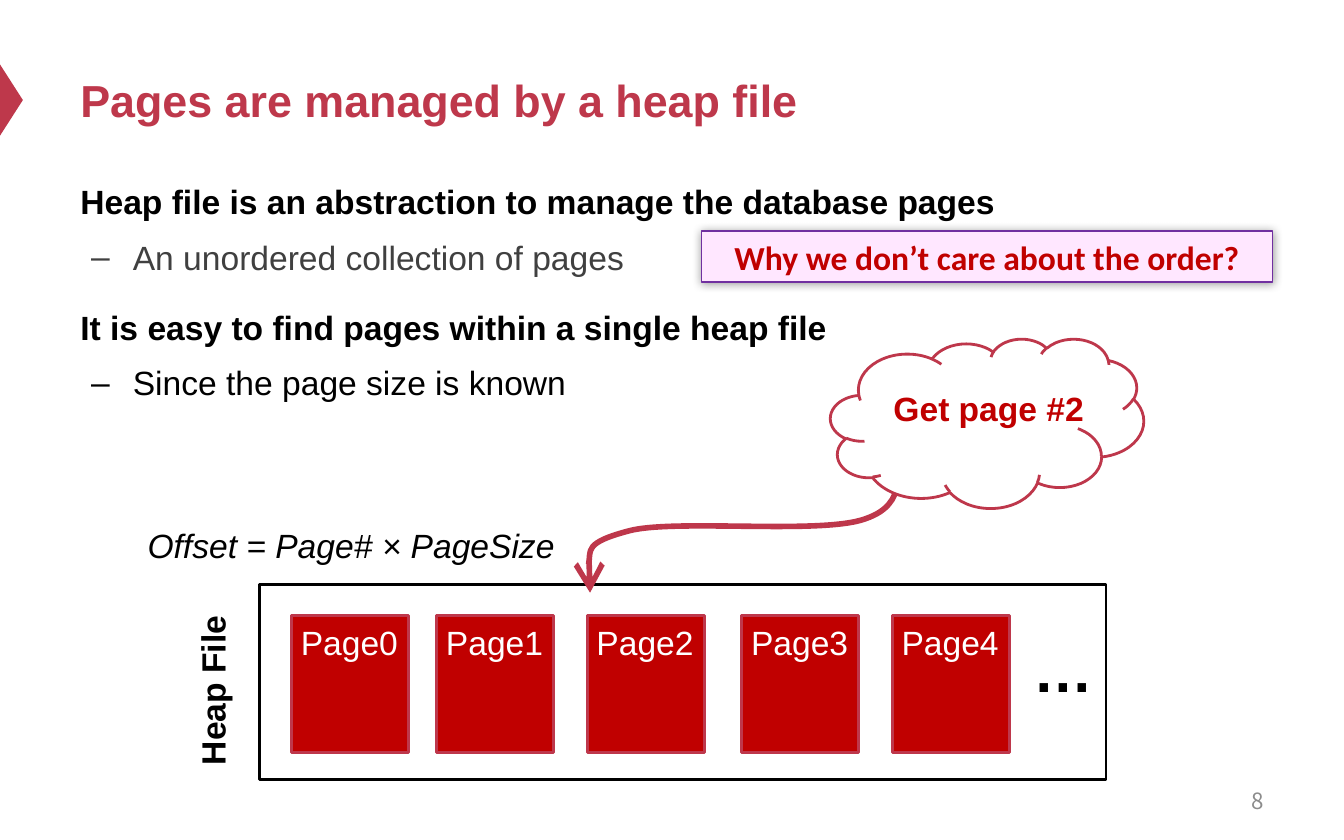
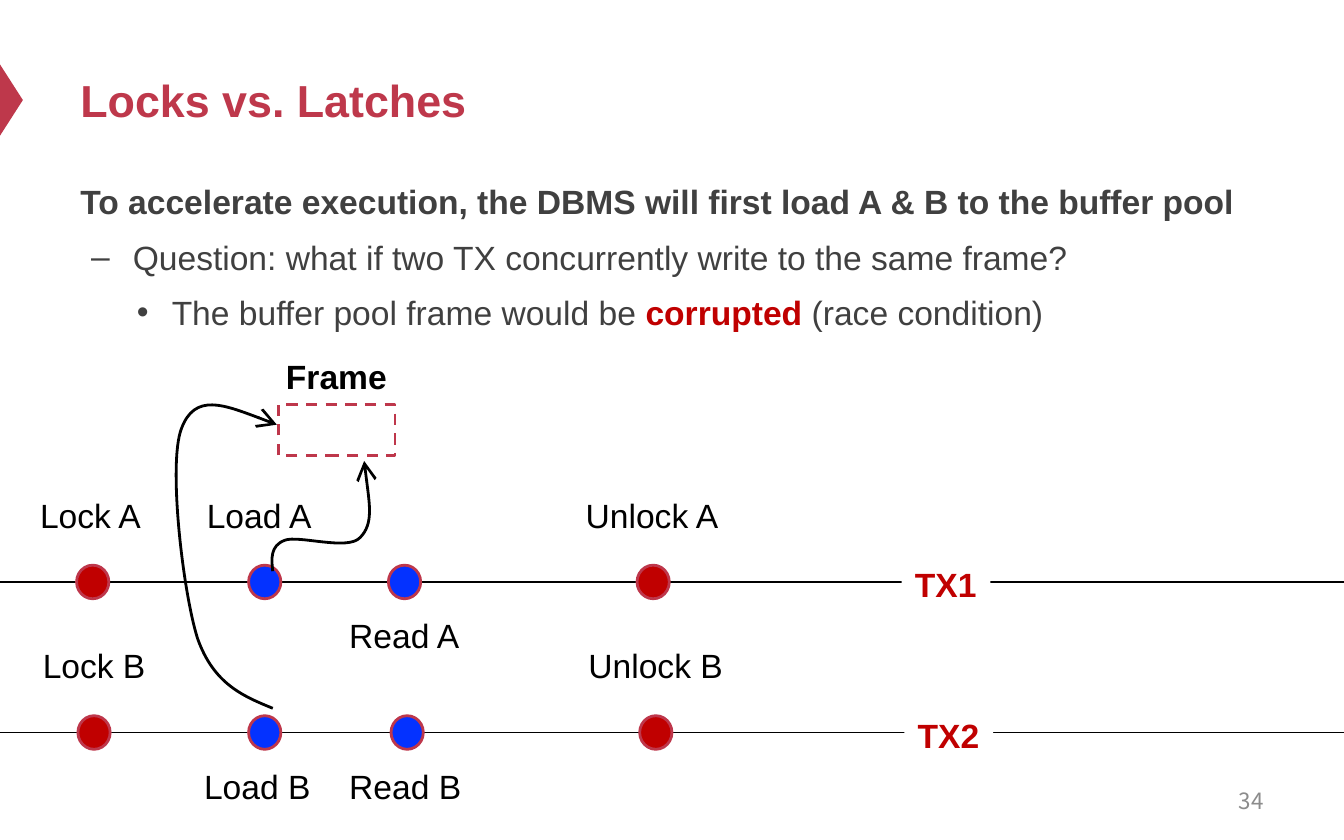
"""Build two database lecture slides: heap files, and locks versus latches."""
import lxml.etree
import pptx
import pptx.dml.color
import pptx.enum.dml
import pptx.enum.shapes
import pptx.enum.text
import pptx.oxml
import pptx.oxml.ns
import pptx.util

COLUMNS, ROWS = 10, 6.25
COLORS = {
    "brand": "BE384B", "edge": "BE374B", "red": "C00000", "blue": "0432FF",
    "black": "000000", "gray": "404040", "pale": "8C8C8C", "white": "FFFFFF",
    "pink": "FFE7FF", "purple": "7030A0",
}
FORMATS = {
    "title": {"size": 24, "bold": True, "color": "brand"},
    "number": {"size": 12, "name": "Noto Sans CJK SC", "color": "pale"},
    "head": {"bold": True, "color": "black"},
    "gray head": {"bold": True, "color": "gray"},
    "label": {"color": "black"},
    "gray": {"color": "gray"},
    "accent": {"bold": True, "color": "red"},
    "formula": {"italic": True, "color": "black"},
    "page": {"color": "white"},
    "dots": {"size": 32, "bold": True, "color": "black"},
    "callout": {"name": "Calibri", "bold": True, "color": "red"},
}
LEVELS = [
    {"space": 12},
    {"space": 3.6, "bullet": "–", "margin": 0.39, "indent": -0.31},
    {"space": 3.6, "bullet": "•", "margin": 0.68, "indent": -0.26},
]

HEAP = {
    "title": "Pages are managed by a heap file", "number": "8",
    "body": [
        (0, [("Heap file is an abstraction to manage the database pages", "head")]),
        (1, [("An unordered collection of pages", "gray")]),
        (0, [("It is easy to find pages within a single heap file", "head")]),
        (1, [("Since the page size is known", "label")]),
    ],
}
PAGES = {"Page0": 2.17, "Page1": 3.25, "Page2": 4.37, "Page3": 5.52, "Page4": 6.64}
PAGE_TOP, PAGE_WIDTH, PAGE_HEIGHT = 4.58, 0.87, 1.02
LOOKUP = [(6.61, 3.24), (6.69, 3.49), (6.76, 3.75), (6.44, 3.86), (6.12, 3.98),
          (5.02, 3.86), (4.68, 3.95), (4.34, 4.04), (4.36, 4.22), (4.39, 4.41)]

LOCKS = {
    "title": "Locks vs. Latches", "number": "34",
    "body": [
        (0, [("To accelerate execution, the DBMS will first load A & B to the buffer pool",
              "gray head")]),
        (1, [("Question: what if two TX concurrently write to the same frame?", "gray")]),
        (2, [("The buffer pool frame would be ", "gray"), ("corrupted", "accent"),
             (" (race condition)", "gray")]),
    ],
}
ABOVE, BELOW = -0.7, 0.2
TRANSACTIONS = [
    ("TX1", 4.33, 6.71, [
        ("Lock A", "red", 0.57, 0.2, 0.96, ABOVE), ("Load A", "blue", 1.85, 1.44, 0.99, ABOVE),
        ("Read A", "blue", 2.89, 2.5, 1.03, BELOW), ("Unlock A", "red", 4.74, 4.26, 1.2, ABOVE)]),
    ("TX2", 5.45, 6.73, [
        ("Lock B", "red", 0.58, 0.22, 0.97, ABOVE), ("Load B", "blue", 1.85, 1.42, 1, BELOW),
        ("Read B", "blue", 2.91, 2.5, 1.04, BELOW), ("Unlock B", "red", 4.76, 4.28, 1.21, ABOVE)]),
]
DOT_WIDTH, DOT_HEIGHT = 0.24, 0.25
LABEL_HEIGHT = 0.4
LOADS = [
    [(2.03, 4.25), (2.02, 4.16), (2.01, 4.06), (2.12, 4.02), (2.22, 3.98),
     (2.59, 4.1), (2.68, 4), (2.78, 3.9), (2.74, 3.67), (2.71, 3.43)],
    [(2.03, 5.27), (1.81, 5.18), (1.59, 5.09), (1.47, 4.75), (1.36, 4.4),
     (1.25, 3.45), (1.35, 3.19), (1.45, 2.92), (1.75, 3.04), (2.06, 3.16)],
]

SHAPES = pptx.enum.shapes.MSO_SHAPE
ALIGN = pptx.enum.text.PP_ALIGN
MIDDLE = pptx.enum.text.MSO_ANCHOR.MIDDLE
inches = pptx.util.Inches


def color(name):
    return pptx.dml.color.RGBColor.from_string(COLORS[name])


def child(parent, tag, **attributes):
    return lxml.etree.SubElement(parent, pptx.oxml.ns.qn(tag), attributes)


def paint(shape, fill=None, line=None, width=1.5):
    if fill:
        shape.fill.solid()
        shape.fill.fore_color.rgb = color(fill)
    else:
        shape.fill.background()
    if line:
        shape.line.color.rgb = color(line)
        shape.line.width = pptx.util.Pt(width)
    else:
        shape.line.fill.background()


def draw(slide, kind, place, **look):
    shape = slide.shapes.add_shape(kind, *map(inches, place))
    shape.shadow.inherit = False
    paint(shape, **look)
    return shape


def write(paragraph, runs):
    for words, style in runs:
        run = paragraph.add_run()
        run.text = words
        values = {"size": 18, "name": "Arial", **FORMATS[style]}
        run.font.color.rgb = color(values.pop("color"))
        values["size"] = pptx.util.Pt(values["size"])
        for key, value in values.items():
            setattr(run.font, key, value)


def label(slide, words, style, place, wrap=False, align=ALIGN.LEFT, anchor=None):
    box = slide.shapes.add_textbox(*map(inches, place))
    frame = box.text_frame
    frame.word_wrap = wrap
    if anchor is not None:
        frame.vertical_anchor = anchor
    frame.paragraphs[0].alignment = align
    write(frame.paragraphs[0], [(words, style)])
    return box


def outline(slide, paragraphs):
    frame = slide.shapes.add_textbox(*map(inches, (0.5, 1.24, 9, 2.49))).text_frame
    frame.word_wrap = True
    for index, (depth, runs) in enumerate(paragraphs):
        paragraph = frame.add_paragraph() if index else frame.paragraphs[0]
        level = LEVELS[depth]
        paragraph.level = depth
        if "bullet" in level:
            properties = paragraph._p.get_or_add_pPr()
            properties.set("marL", str(inches(level["margin"])))
            properties.set("indent", str(inches(level["indent"])))
            child(properties, "a:buFont", typeface="Arial")
            child(properties, "a:buChar", char=level["bullet"])
        paragraph.line_spacing = 1.2
        if index:
            paragraph.space_before = pptx.util.Pt(level["space"])
        write(paragraph, runs)


def curve(slide, points, line, width):
    start, *bends = [(round(x * 100), round(y * 100)) for x, y in points]
    builder = slide.shapes.build_freeform(*start, scale=inches(0.01))
    builder.add_line_segments(bends, close=False)
    shape = builder.convert_to_shape()
    shape.shadow.inherit = False
    paint(shape, line=line, width=width)
    route = shape._element.find(".//" + pptx.oxml.ns.qn("a:path"))
    segments = list(route)[1:]
    for first in range(0, len(segments), 3):
        bend = child(route, "a:cubicBezTo")
        for segment in segments[first:first + 3]:
            bend.append(segment[0])
            route.remove(segment)
    child(shape.line._get_or_add_ln(), "a:tailEnd", type="arrow", w="lg", len="lg")


def start_slide(deck, content):
    slide = deck.slides.add_slide(deck.slide_layouts[6])
    marker = draw(slide, SHAPES.ISOSCELES_TRIANGLE, (-0.18, 0.66, 0.53, 0.17), fill="brand")
    marker.rotation = 90
    label(slide, content["title"], "title", (0.5, 0.25, 9, 0.98), wrap=True, anchor=MIDDLE)
    outline(slide, content["body"])
    label(slide, content["number"], "number", (7.17, 5.79, 2.33, 0.33),
          wrap=True, align=ALIGN.RIGHT, anchor=MIDDLE)
    return slide


def heap_slide(deck):
    slide = start_slide(deck, HEAP)
    draw(slide, SHAPES.RECTANGLE, (1.93, 4.35, 6.3, 1.45), line="black")
    label(slide, "Heap File", "head", (0.92, 4.93, 1.32, LABEL_HEIGHT)).rotation = 270
    for page, left in PAGES.items():
        draw(slide, SHAPES.RECTANGLE, (left, PAGE_TOP, PAGE_WIDTH, PAGE_HEIGHT),
             fill="red", line="edge")
        label(slide, page, "page", (left - 0.03, PAGE_TOP, PAGE_WIDTH + 0.06, LABEL_HEIGHT))
    label(slide, "…", "dots", (7.59, 4.66, 0.65, 0.64))
    curve(slide, LOOKUP, "edge", 3)
    label(slide, "Offset = Page# × PageSize", "formula", (1, 3.86, 3.37, LABEL_HEIGHT))
    draw(slide, SHAPES.CLOUD, (6.18, 2.52, 2.33, 1.26), fill="white", line="edge")
    label(slide, "Get page #2", "accent", (6.55, 2.84, 1.63, LABEL_HEIGHT))
    question = label(slide, "Why we don’t care about the order?", "callout",
                     (5.22, 1.72, 4.25, 0.38), wrap=True, align=ALIGN.CENTER)
    paint(question, fill="pink", line="purple", width=0.75)
    margins = {"margin_left": 0.12, "margin_right": 0.12, "margin_top": 0.04, "margin_bottom": 0.04}
    for side, margin in margins.items():
        setattr(question.text_frame, side, inches(margin))
    effects = child(question._element.spPr, "a:effectLst")
    glow = child(effects, "a:outerShdw", blurRad=str(pptx.util.Pt(5)), dist="0", dir="0",
                 algn="ctr", rotWithShape="0")
    child(child(glow, "a:srgbClr", val=COLORS["black"]), "a:alpha", val="40000")


def locks_slide(deck):
    slide = start_slide(deck, LOCKS)
    for name, middle, name_left, events in TRANSACTIONS:
        track = slide.shapes.add_connector(
            pptx.enum.shapes.MSO_CONNECTOR.STRAIGHT,
            *map(inches, (-0.15, middle, COLUMNS + 0.9, middle)))
        track.line.color.rgb = color("black")
        track.line.width = pptx.util.Pt(0.75)
        child(track._element.spPr, "a:effectLst")
        paint(label(slide, name, "accent", (name_left, middle - 0.18, 0.66, LABEL_HEIGHT)),
              fill="white")
        for event, fill, dot_left, left, width, shift in events:
            draw(slide, SHAPES.OVAL, (dot_left, middle - DOT_HEIGHT / 2, DOT_WIDTH, DOT_HEIGHT),
                 fill=fill, line="edge")
            label(slide, event, "label", (left, middle + shift, width, LABEL_HEIGHT))
    target = draw(slide, SHAPES.RECTANGLE, (2.07, 3.01, 0.87, 0.38), line="edge")
    target.line.dash_style = pptx.enum.dml.MSO_LINE.DASH
    label(slide, "Frame", "head", (2.03, 2.6, 0.96, LABEL_HEIGHT))
    for load in LOADS:
        curve(slide, load, "black", 1.5)


def main():
    deck = pptx.Presentation()
    deck.slide_width, deck.slide_height = inches(COLUMNS), inches(ROWS)
    heap_slide(deck)
    locks_slide(deck)
    deck.save("out.pptx")


if __name__ == "__main__":
    main()
